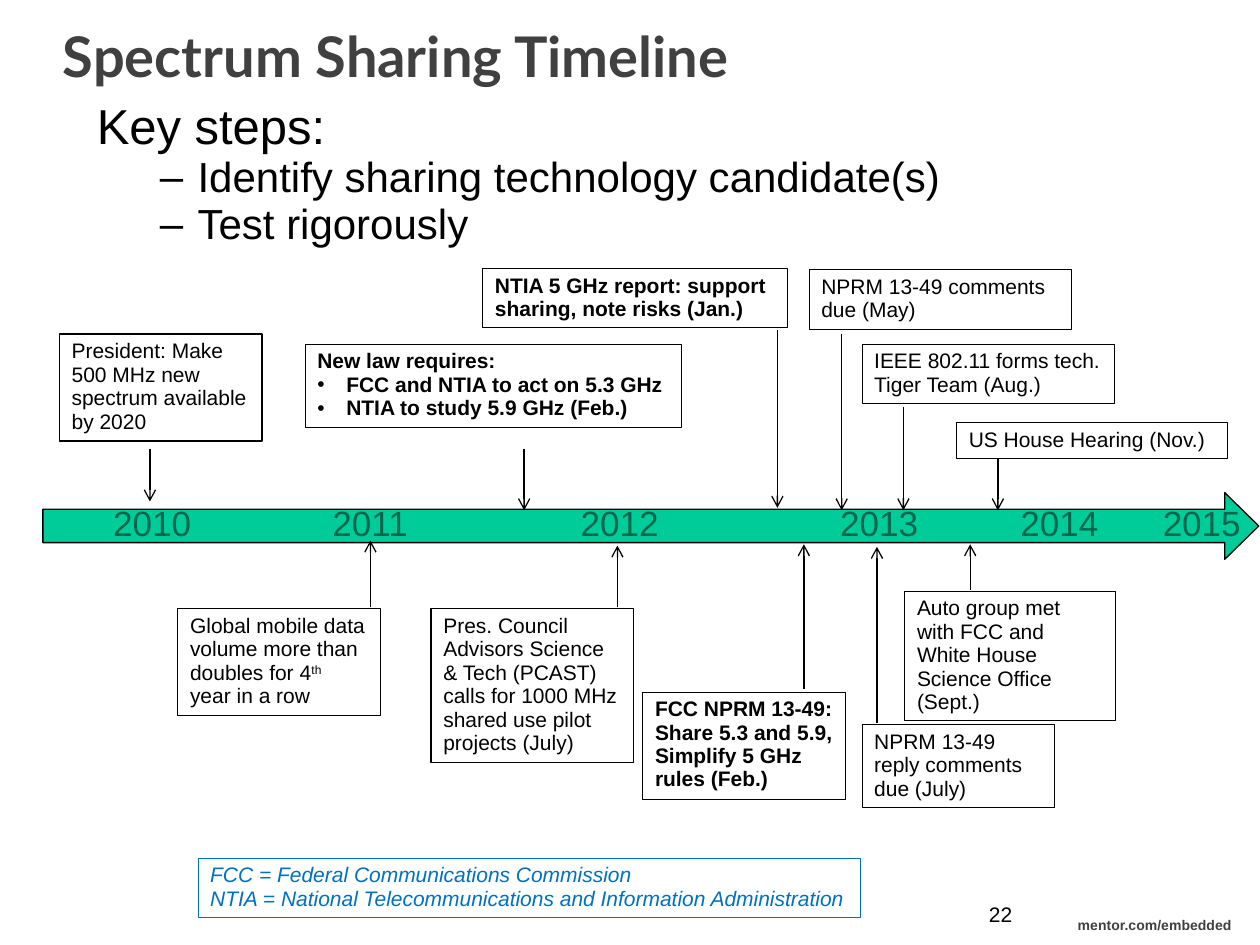
"""Build the Spectrum Sharing Timeline slide."""
from lxml import etree
from pptx import Presentation
from pptx.dml.color import RGBColor
from pptx.enum.shapes import MSO_CONNECTOR, MSO_SHAPE
from pptx.enum.text import MSO_ANCHOR, MSO_AUTO_SIZE, PP_ALIGN
from pptx.oxml.ns import qn
from pptx.util import Inches, Pt

RECT, ARROW = MSO_SHAPE.RECTANGLE, MSO_SHAPE.RIGHT_ARROW
TOP, BOTTOM = MSO_ANCHOR.TOP, MSO_ANCHOR.BOTTOM
LEFT, CENTER = PP_ALIGN.LEFT, PP_ALIGN.CENTER
FIT, STRAIGHT = MSO_AUTO_SIZE.SHAPE_TO_FIT_TEXT, MSO_CONNECTOR.STRAIGHT
BLACK, GRAY, BLUE, GREEN, DARK_GREEN = "000000", "404040", "0070C0", "00CC99", "00664D"
THIN, MEDIUM = 0.25, 0.75
DOT, DASH = ("•", 0.23, -0.23), ("–", 0.8, -0.3)

TITLE = "Spectrum Sharing Timeline"
STEPS = [("Key steps:", 28, None),
         ("Identify sharing technology candidate(s)", 24, DASH),
         ("Test rigorously", 24, DASH)]
GLOSSARY = ["FCC = Federal Communications Commission",
            "NTIA = National Telecommunications and Information Administration"]
YEARS = [("2010", 0.8), ("2011", 2.54), ("2012", 4.51),
         ("2013", 6.57), ("2014", 8), ("2015", 9.13)]
EVENTS = [
    dict(box=(0.47, 2.65, 1.61, 0.85), arrow=(1.19, 3.56, 3.98), width=MEDIUM,
         text=["President: Make 500 MHz new spectrum available by 2020"]),
    dict(box=(1.41, 4.83, 1.61, 0.85), arrow=(2.94, 4.82, 4.29),
         text=[["Global mobile data volume more than doubles for 4", "^th", " year in a row"]]),
    dict(box=(2.42, 2.73, 2.99, 0.66), arrow=(4.16, 3.56, 4.05), bold=True,
         text=["New law requires:", ("FCC and NTIA to act on 5.3 GHz", DOT),
               ("NTIA to study 5.9 GHz (Feb.)", DOT)]),
    dict(box=(3.42, 4.83, 1.61, 1.22), arrow=(4.9, 4.82, 4.33), width=MEDIUM,
         text=["Pres. Council Advisors Science & Tech (PCAST) calls for 1000 MHz "
               "shared use pilot projects (July)"]),
    dict(box=(3.83, 2.13, 2.42, 0.47), arrow=(6.17, 2.62, 4.03), bold=True,
         text=["NTIA 5 GHz report: support sharing, note risks (Jan.)"]),
    dict(box=(5.1, 5.49, 1.61, 0.85), arrow=(6.38, 5.47, 4.32), bold=True,
         text=["FCC NPRM 13-49:", "Share 5.3 and 5.9,", "Simplify 5 GHz rules (Feb.)"]),
    dict(box=(6.42, 2.14, 2.08, 0.47), arrow=(6.68, 2.65, 4.05),
         text=["NPRM 13-49 comments due (May)"]),
    dict(box=(6.84, 5.75, 1.53, 0.66), arrow=(6.96, 5.74, 4.34),
         text=["NPRM 13-49 reply comments due (July)"]),
    dict(box=(6.84, 2.73, 2, 0.47), arrow=(7.17, 3.23, 4.05),
         text=["IEEE 802.11 forms tech. Tiger Team (Aug.)"]),
    dict(box=(7.18, 4.69, 1.67, 1.03), arrow=(7.7, 4.68, 4.32),
         text=["Auto group met with FCC and White House Science Office (Sept.)"]),
    dict(box=(7.59, 3.35, 2.15, 0.29), arrow=(7.92, 3.64, 4.05),
         text=["US House Hearing (Nov.)"]),
]


def rgb(color):
    """Turn a hex string into a colour."""
    return RGBColor.from_string(color)


def add_bullet(p, char, margin, indent):
    """Give a paragraph a hanging bullet."""
    pPr = p._p.get_or_add_pPr()
    pPr.set("marL", str(Inches(margin)))
    pPr.set("indent", str(Inches(indent)))
    clr = etree.SubElement(pPr, qn("a:buClr"))
    etree.SubElement(clr, qn("a:srgbClr"), val=BLACK)
    etree.SubElement(pPr, qn("a:buFont"), typeface="Arial")
    etree.SubElement(pPr, qn("a:buChar"), char=char)


def add_paragraph(p, runs, size, color=BLACK, bold=False, italic=False,
                  font="Arial", bullet=None, align=LEFT, spacing=0.93):
    """Fill a paragraph with runs; a leading caret marks a superscript."""
    p.alignment, p.line_spacing = align, spacing
    if bullet:
        add_bullet(p, *bullet)
        p.level = 1 if bullet == DASH else 0
    for text in [runs] if isinstance(runs, str) else runs:
        r = p.add_run()
        r.text = text.lstrip("^")
        r.font.name, r.font.size = font, Pt(size)
        r.font.bold, r.font.italic = bold, italic
        r.font.color.rgb = rgb(color)
        if text.startswith("^"):
            r._r.get_or_add_rPr().set("baseline", "30000")


def add_text(slide, box, paragraphs, size, line=None, wrap=True, fit=True,
             anchor=TOP, insets=(0.1, 0.1), **style):
    """Add a text box, or a rectangle when line gives a colour and width."""
    place = [Inches(v) for v in box]
    if line:
        sp = slide.shapes.add_shape(RECT, *place)
        sp.shadow.inherit = False
        sp.fill.background()
        sp.line.color.rgb, sp.line.width = rgb(line[0]), Pt(line[1])
    else:
        sp = slide.shapes.add_textbox(*place)
    tf = sp.text_frame
    tf.word_wrap, tf.vertical_anchor = wrap, anchor
    if fit:
        tf.auto_size = FIT
    tf.margin_left, tf.margin_right = [Inches(v) for v in insets]
    tf.margin_top = tf.margin_bottom = Inches(0.05)
    for i, item in enumerate(paragraphs):
        p = tf.add_paragraph() if i else tf.paragraphs[0]
        runs, bullet = item if isinstance(item, tuple) else (item, None)
        add_paragraph(p, runs, size[i] if isinstance(size, list) else size,
                      bullet=bullet, **style)


def add_arrow(slide, x, start, end):
    """Add a vertical line with an open arrowhead at its end."""
    s = slide.shapes.add_connector(STRAIGHT, Inches(x), Inches(start), Inches(x), Inches(end))
    s.line.color.rgb, s.line.width = rgb(BLACK), Pt(MEDIUM)
    etree.SubElement(s.line._get_or_add_ln(), qn("a:tailEnd"), type="arrow")
    etree.SubElement(s._element.spPr, qn("a:effectLst"))


def add_timeline(slide):
    """Add the wide arrow and the years on it."""
    sp = slide.shapes.add_shape(ARROW, Inches(0.34), Inches(3.91), Inches(9.65), Inches(0.53))
    sp.shadow.inherit = False
    sp.adjustments[0], sp.adjustments[1] = 0.5, 0.51
    sp.fill.solid()
    sp.fill.fore_color.rgb = rgb(GREEN)
    sp.line.color.rgb, sp.line.width = rgb(BLACK), Pt(MEDIUM)
    for year, x in YEARS:
        add_text(slide, (x, 3.96, 0.82, 0.41), [year], 20, wrap=False, color=DARK_GREEN)


def main():
    """Build and save the slide."""
    prs = Presentation()
    prs.slide_width, prs.slide_height = Inches(10), Inches(7.5)
    slide = prs.slides.add_slide(prs.slide_layouts[6])
    add_text(slide, (0, 0, 10, 0.75), [TITLE], 32, fit=False, anchor=BOTTOM,
             insets=(0.5, 0.5), color=GRAY, bold=True, font="Lato", spacing=1.0)
    add_text(slide, (0.67, 0.75, 8.74, 1.28), [(t, b) for t, _, b in STEPS],
             [size for _, size, _ in STEPS])
    add_timeline(slide)
    for event in EVENTS:
        add_arrow(slide, *event["arrow"])
        add_text(slide, event["box"], event["text"], 12,
                 line=(BLACK, event.get("width", THIN)), bold=event.get("bold", False))
    add_text(slide, (1.57, 6.81, 5.26, 0.47), GLOSSARY, 12, line=(BLUE, THIN),
             wrap=False, color=BLUE, italic=True)
    add_text(slide, (7.75, 7.12, 0.41, 0.25), ["22"], 12, fit=False, insets=(0.1, 0.01))
    add_text(slide, (8.5, 7.24, 1.33, 0.26), ["mentor.com/embedded"], 8, fit=False,
             insets=(0, 0), color=GRAY, bold=True, align=CENTER)
    prs.save("out.pptx")


if __name__ == "__main__":
    main()
